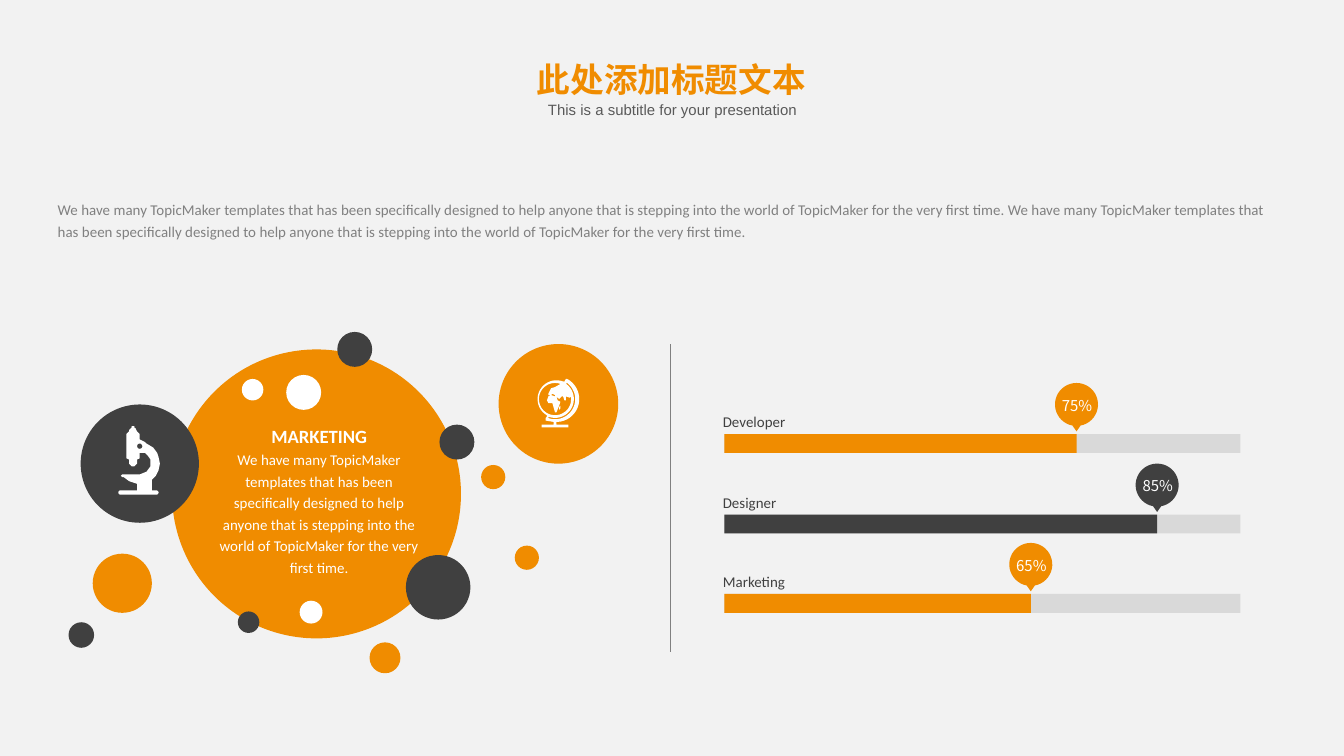
from math import cos, radians, sin

from lxml import etree
from pptx import Presentation
from pptx.dml.color import RGBColor
from pptx.enum import shapes, text
from pptx.oxml.ns import qn
from pptx.util import Inches, Pt

ORANGE = RGBColor(0xF0, 0x8C, 0x00)
DARK = RGBColor(0x40, 0x40, 0x40)
WHITE = RGBColor(0xFF, 0xFF, 0xFF)
PALE = RGBColor(0xD9, 0xD9, 0xD9)
GRAY = RGBColor(0x80, 0x80, 0x80)
SUB = RGBColor(0x59, 0x59, 0x59)
BACK = RGBColor(0xF2, 0xF2, 0xF2)
SANS, CJK = "Calibri", "Noto Sans CJK SC"

# Content
TITLE = "此处添加标题文本"
TAG = "This is a subtitle for your presentation"
PITCH = ("We have many TopicMaker templates that has been specifically designed "
         "to help anyone that is stepping into the world of TopicMaker for the "
         "very first time.")
HEAD = "MARKETING"

# Bubbles: left, top, diameter, colour
BUBBLES = [
    (1.28, 2.6, 2.15, ORANGE), (2.13, 2.79, 0.26, WHITE),
    (2.51, 2.47, 0.26, DARK), (1.8, 2.82, 0.16, WHITE),
    (3.27, 3.16, 0.26, DARK), (3.58, 3.46, 0.18, ORANGE),
    (3.83, 4.06, 0.18, ORANGE), (3.02, 4.13, 0.48, DARK),
    (1.77, 4.55, 0.16, DARK), (2.23, 4.47, 0.17, WHITE),
    (2.75, 4.78, 0.23, ORANGE), (0.69, 4.12, 0.44, ORANGE),
    (0.51, 4.63, 0.19, DARK), (0.6, 3.01, 0.88, DARK),
    (3.71, 2.56, 0.89, ORANGE),
]

# Bars: label, value, top, length, label width, colour
BARS = [
    ("Developer", "75%", 3.23, 2.62, 0.7, ORANGE),
    ("Designer", "85%", 3.83, 3.22, 0.63, DARK),
    ("Marketing", "65%", 4.42, 2.28, 0.72, ORANGE),
]
BAR_X, BAR_W, BAR_H = 5.39, 3.84, 0.14
PIN_R, PIN_H, PIN_UP = 0.16, 0.36, 0.38


def arc(x, y, r, a, b, n=40):
    """Points on a circle from angle a to angle b, clockwise from the right."""
    turns = [radians(a + (b - a) * i / n) for i in range(n + 1)]
    return [(x + r * cos(t), y + r * sin(t)) for t in turns]


# Icons: lists of closed outlines
SCOPE = [
    [(1.17, 3.65), (1.13, 3.65), (1.13, 3.57), (1.16, 3.54), (1.18, 3.5),
     (1.19, 3.45), (1.18, 3.4), (1.17, 3.37), (1.14, 3.33), (1.09, 3.3),
     (1.08, 3.29), (1.04, 3.27), (1.04, 3.23), (1.02, 3.21), (1.01, 3.19),
     (1, 3.18), (1, 3.17), (0.98, 3.17), (0.98, 3.18), (0.96, 3.2),
     (0.96, 3.21), (0.94, 3.23), (0.94, 3.41), (0.96, 3.42), (0.96, 3.45),
     (0.98, 3.47), (1, 3.47), (1.02, 3.45), (1.02, 3.42), (1.04, 3.41),
     (1.04, 3.37), (1.06, 3.37), (1.08, 3.37), (1.1, 3.39), (1.12, 3.42),
     (1.12, 3.47), (1.09, 3.51), (1.04, 3.53), (0.91, 3.53), (0.9, 3.54),
     (0.91, 3.55), (0.92, 3.55), (0.96, 3.58), (1.02, 3.6), (1.02, 3.65),
     (0.89, 3.65), (0.88, 3.66), (0.88, 3.67), (0.89, 3.68), (1.17, 3.68),
     (1.18, 3.67), (1.18, 3.66)],
    arc(1.04, 3.32, 0.02, 0, 360, 12),
]
GLOBE = [
    # Frame and foot
    arc(4.14, 2.97, 0.14, 120, 290)
    + [(4.2, 2.84), (4.21, 2.82), (4.22, 2.82)]
    + arc(4.14, 2.97, 0.17, -60, 90)
    + [(4.14, 3.16), (4.23, 3.16), (4.23, 3.18), (4.03, 3.18), (4.03, 3.16),
       (4.12, 3.16), (4.12, 3.14), (4.06, 3.13), (4.06, 3.11), (4.07, 3.1)],
    # Gap inside the frame
    arc(4.13, 2.97, 0.14, -53, 108) + arc(4.13, 2.97, 0.15, 112, -55),
    # Sea and coast
    arc(4.13, 2.97, 0.12, 10, 290)
    + [(4.13, 2.88), (4.1, 2.89), (4.08, 2.93), (4.08, 2.94), (4.1, 2.94),
       (4.11, 2.93), (4.13, 2.94), (4.13, 2.95), (4.1, 2.94), (4.08, 2.95),
       (4.07, 2.98), (4.08, 3), (4.11, 3), (4.13, 3.07), (4.14, 3.07),
       (4.16, 3.02), (4.17, 2.99), (4.15, 2.98), (4.14, 2.95), (4.16, 2.97),
       (4.18, 2.95), (4.19, 2.95), (4.2, 2.98), (4.21, 2.98), (4.21, 2.95),
       (4.24, 2.96), (4.25, 2.95)],
    [(4.17, 3.02), (4.16, 3.03), (4.16, 3.05), (4.17, 3.04)],
]

# Wide slide, 16 to 9
deck = Presentation()
deck.slide_width = Inches(10)
deck.slide_height = deck.slide_width * 9 // 16
slide = deck.slides.add_slide(deck.slide_layouts[5])
slide.background.fill.solid()
slide.background.fill.fore_color.rgb = BACK
items = slide.shapes


def paint(shape, color):
    shape.shadow.inherit = False
    shape.fill.solid()
    shape.fill.fore_color.rgb = color
    shape.line.fill.background()


def add(kind, x, y, w, h, color):
    paint(items.add_shape(kind, *map(Inches, (x, y, w, h))), color)


def draw(loops, color):
    loops = [[(Inches(x), Inches(y)) for x, y in loop] for loop in loops]
    pen = items.build_freeform(*loops[0][0], scale=1.0)
    for i, loop in enumerate(loops):
        if i:
            pen.move_to(*loop[0])
        pen.add_line_segments(loop[1:], close=True)
    paint(pen.convert_to_shape(), color)


def write(box, lines, color, font=SANS, align=text.PP_ALIGN.LEFT,
          gap=None, wrap=True, pad=False):
    """Fill a box with lines given as (words, size, bold)."""
    frame = box.text_frame
    frame.word_wrap = wrap
    frame.auto_size = text.MSO_AUTO_SIZE.SHAPE_TO_FIT_TEXT
    frame.vertical_anchor = text.MSO_ANCHOR.TOP
    if not pad:
        frame.margin_left = frame.margin_right = 0
        frame.margin_top = frame.margin_bottom = 0
    for i, (words, size, bold) in enumerate(lines):
        para = frame.add_paragraph() if i else frame.paragraphs[0]
        para.text, para.alignment, para.line_spacing = words, align, gap
        face = para.font
        face.name, face.size, face.bold = font, Pt(size), bold
        face.color.rgb = color


def note(x, y, w, h, lines, color, **style):
    write(items.add_textbox(*map(Inches, (x, y, w, h))), lines, color, **style)


MID = text.PP_ALIGN.CENTER
OVAL, RECT = shapes.MSO_SHAPE.OVAL, shapes.MSO_SHAPE.RECTANGLE

# Title, subtitle and introduction
title = items.title
title.left, title.top, title.width, title.height = map(
    Inches, (3.78, 0.39, 2.43, 0.4))
write(title, [(TITLE, 18, True)], ORANGE, font=CJK, align=MID, pad=True)
for props in title._element.iter(qn("a:defRPr"), qn("a:rPr")):
    etree.SubElement(props, qn("a:ea"), typeface=CJK)
note(4.02, 0.75, 1.97, 0.13, [(TAG, 8, False)], SUB, font="Arial", align=MID)
note(0.43, 1.47, 9.13, 0.32, [(f"{PITCH} {PITCH}", 8, False)], GRAY, gap=1.2)

# Bubbles and icons
for x, y, d, color in BUBBLES:
    add(OVAL, x, y, d, d, color)
draw(SCOPE, WHITE)
draw(GLOBE, WHITE)
note(1.59, 3.13, 1.57, 1.16, [(HEAD, 10, True), (PITCH, 8, False)], WHITE,
     align=MID, gap=1.2)

# Divider
rule = items.add_connector(shapes.MSO_CONNECTOR.STRAIGHT,
                           *map(Inches, (4.99, 2.56, 4.99, 4.85)))
rule.line.color.rgb, rule.line.width = GRAY, Pt(0.5)
etree.SubElement(rule._element.spPr, qn("a:effectLst"))

# Bars with value pins
for label, value, y, size, w, color in BARS:
    add(RECT, BAR_X, y, BAR_W, BAR_H, PALE)
    add(RECT, BAR_X, y, size, BAR_H, color)
    tip, top = BAR_X + size, y - PIN_UP
    draw([arc(tip, top + PIN_R, PIN_R, 101, 439) + [(tip, top + PIN_H)]], color)
    note(tip - 0.11, top + 0.1, 0.23, 0.13, [(value, 8, False)], WHITE,
         font=CJK, align=MID, wrap=False)
    note(5.28, y - 0.21, w, 0.24, [(label, 8, False)], DARK,
         wrap=False, pad=True)

deck.save("out.pptx")
